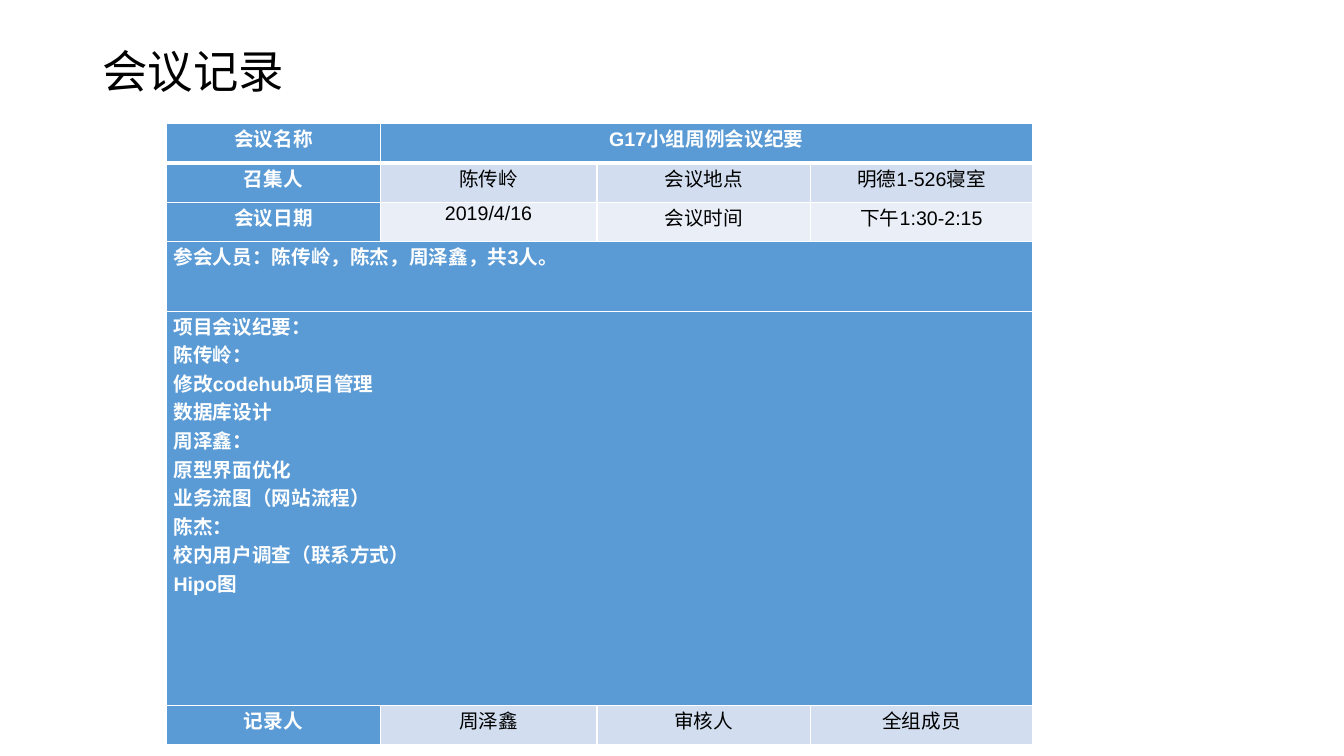
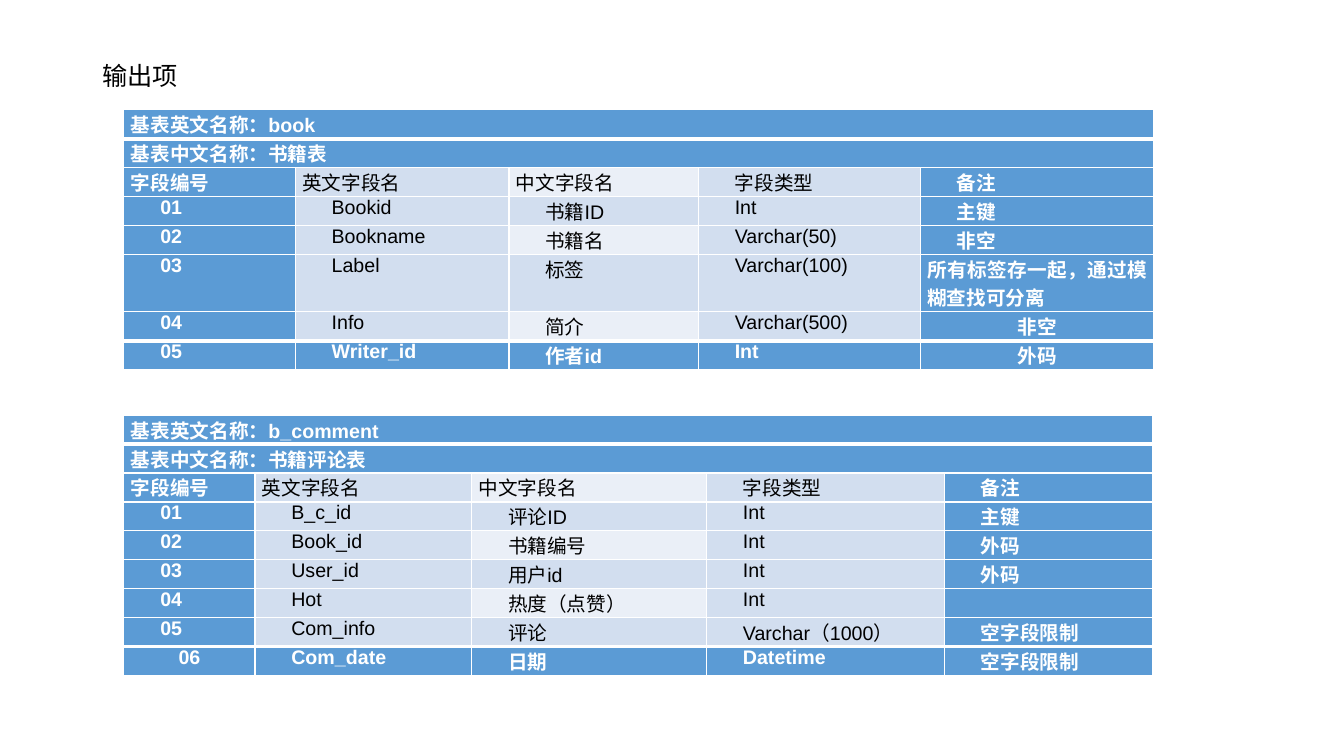
import pptx
import pptx.util
import pptx.dml.color
import pptx.enum.text
import pptx.oxml.ns
from lxml import etree

Pt = pptx.util.Pt
RGBColor = pptx.dml.color.RGBColor
ALIGN = pptx.enum.text.PP_ALIGN
ANCHOR = pptx.enum.text.MSO_ANCHOR

# Shared look
BLUE = RGBColor(0x5B, 0x9B, 0xD5)
BAND = RGBColor(0xD2, 0xDE, 0xEF)
PALE = RGBColor(0xEA, 0xEF, 0xF7)
WHITE = RGBColor(0xFF, 0xFF, 0xFF)
BLACK = RGBColor(0, 0, 0)
FONT, TITLE_FONT = "Arial", "Arial Narrow"
TEXT_SIZE = 14
CELL_INSET = 5
FIRST_LINE_INDENT = 21
THIN, THICK = 1, 3
LINE_ROW = 20.64

# Content: a row with one entry spans the table
MINUTES = [
    ["会议名称", "G17小组周例会议纪要"],
    ["召集人", "陈传岭", "会议地点", "明德1-526寝室"],
    ["会议日期", "2019/4/16", "会议时间", "下午1:30-2:15"],
    ["参会人员：陈传岭，陈杰，周泽鑫，共3人。"],
    ["项目会议纪要：\n陈传岭：\n修改codehub项目管理\n数据库设计\n周泽鑫：\n原型界面优化\n"
     "业务流图（网站流程）\n陈杰：\n校内用户调查（联系方式）\nHipo图"],
    ["记录人", "周泽鑫", "审核人", "全组成员"],
]
MINUTES_COLS = [152.64, 154.8, 152.64, 158.4]
MINUTES_ROWS = [28.08, 28.08, 28.08, 49.68, 281.52, 28.08]

FIELD_HEADS = ["字段编号", "英文字段名", "中文字段名", "字段类型", "备注"]
FIELD_TABLES = [
    {
        "top": 78.5, "names": ("book", "书籍表"),
        "cols": [122.4, 152.64, 135.36, 158.4, 167.04],
        "fields": [
            ["Bookid", "书籍ID", "Int", "主键"],
            ["Bookname", "书籍名", "Varchar(50)", "非空"],
            ["Label", "标签", "Varchar(100)", "所有标签存一起，通过模糊查找可分离"],
            ["Info", "简介", "Varchar(500)", "非空"],
            ["Writer_id", "作者id", "Int", "外码"],
        ],
        "tall": {5: 41.04}, "flush": {(5, 4)}, "centred": {(6, 4), (7, 4)},
    },
    {
        "top": 296.64, "names": ("b_comment", "书籍评论表"),
        "cols": [93.6, 154.8, 167.76, 169.92, 149.04],
        "fields": [
            ["B_c_id", "评论ID", "Int", "主键"],
            ["Book_id", "书籍编号", "Int", "外码"],
            ["User_id", "用户id", "Int", "外码"],
            ["Hot", "热度（点赞）", "Int", ""],
            ["Com_info", "评论", "Varchar（1000）", "空字段限制"],
            ["Com_date", "日期", "Datetime", "空字段限制"],
        ],
        "tall": {}, "flush": set(), "centred": {(8, 0)},
    },
]


def add_titled_slide(prs, text, box, size, font, anchor):
    s = prs.slides.add_slide(prs.slide_layouts[5])
    title = s.shapes.title
    title.left, title.top, title.width, title.height = map(Pt, box)
    tf = title.text_frame
    tf.auto_size = pptx.enum.text.MSO_AUTO_SIZE.NONE
    tf.vertical_anchor = anchor
    p = tf.paragraphs[0]
    p.alignment = ALIGN.LEFT
    add_run(p, text, size, font, BLACK, False)
    return s


def add_run(p, text, size, font, color, bold):
    r = p.add_run()
    r.text = text
    r.font.size, r.font.name, r.font.bold = Pt(size), font, bold
    r.font.color.rgb = color


def set_borders(cell, top, bottom):
    tc_pr = cell._tc.get_or_add_tcPr()
    for tag, width in (("lnL", THIN), ("lnR", THIN), ("lnT", top), ("lnB", bottom)):
        ln = etree.SubElement(tc_pr, pptx.oxml.ns.qn("a:" + tag), w=str(Pt(width)))
        fill = etree.SubElement(ln, pptx.oxml.ns.qn("a:solidFill"))
        etree.SubElement(fill, pptx.oxml.ns.qn("a:srgbClr"), val=str(WHITE))


def fill_cell(cell, text, fill, align, indent):
    cell.fill.solid()
    cell.fill.fore_color.rgb = fill
    cell.margin_left = cell.margin_right = Pt(CELL_INSET)
    cell.margin_top = cell.margin_bottom = 0
    is_head = fill == BLUE
    tf = cell.text_frame
    for i, line in enumerate(text.split("\n")):
        p = tf.add_paragraph() if i else tf.paragraphs[0]
        p.alignment = align
        if indent:
            p._p.get_or_add_pPr().set("indent", str(Pt(indent)))
        add_run(p, line, TEXT_SIZE, FONT, WHITE if is_head else BLACK, is_head)


def add_grid(s, left, top, cols, heights, rows, thick_after, style):
    """style(row, col) gives the fill, alignment and first-line indent."""
    table = s.shapes.add_table(len(rows), len(cols), Pt(left), Pt(top),
                               Pt(sum(cols)), Pt(sum(heights))).table
    table.first_row = table.horz_banding = False
    for col, width in zip(table.columns, cols):
        col.width = Pt(width)
    for i, (row, height) in enumerate(zip(rows, heights)):
        table.rows[i].height = Pt(height)
        for j in range(len(cols)):
            cell = table.cell(i, j)
            set_borders(cell, THICK if i - 1 in thick_after else THIN,
                        THICK if i in thick_after else THIN)
            fill_cell(cell, row[j] if j < len(row) else "", *style(i, j))
        if len(row) < len(cols):
            table.cell(i, len(row) - 1).merge(table.cell(i, len(cols) - 1))


def minutes_style(i, j):
    spans = len(MINUTES[i]) == 1
    if spans or i == 0 or j == 0:
        fill = BLUE
    else:
        fill = BAND if i % 2 else PALE
    return fill, ALIGN.LEFT if spans else ALIGN.CENTER, 0


def add_field_table(s, spec):
    english, chinese = spec["names"]
    rows = [["基表英文名称：" + english], ["基表中文名称：" + chinese], FIELD_HEADS]
    rows += [[f"{n:02d}"] + field for n, field in enumerate(spec["fields"], 1)]
    last = len(rows) - 1

    def style(i, j):
        if i < 2 or i == last or j in (0, 4):
            fill = BLUE
        else:
            fill = PALE if j == 2 and i % 2 == 0 else BAND
        if (i, j) in spec["centred"]:
            return fill, ALIGN.CENTER, 0
        flush = i < 2 or (i == 2 and j < 3) or (i, j) in spec["flush"]
        return fill, ALIGN.JUSTIFY, 0 if flush else FIRST_LINE_INDENT

    heights = [spec["tall"].get(i, LINE_ROW) for i in range(len(rows))]
    add_grid(s, 88.5, spec["top"], spec["cols"], heights, rows, {0, last - 1}, style)


def main():
    prs = pptx.Presentation()
    prs.slide_width, prs.slide_height = Pt(960), Pt(540)

    # Meeting minutes
    s = add_titled_slide(prs, "会议记录", (66, 28.5, 828, 43), 32.4, TITLE_FONT, ANCHOR.MIDDLE)
    add_grid(s, 119, 88.5, MINUTES_COLS, MINUTES_ROWS, MINUTES, {0}, minutes_style)

    # Output items
    s = add_titled_slide(prs, "输出项", (66, 39.5, 153.5, 29), 18, FONT, ANCHOR.TOP)
    for spec in FIELD_TABLES:
        add_field_table(s, spec)

    prs.save("out.pptx")


if __name__ == "__main__":
    main()
